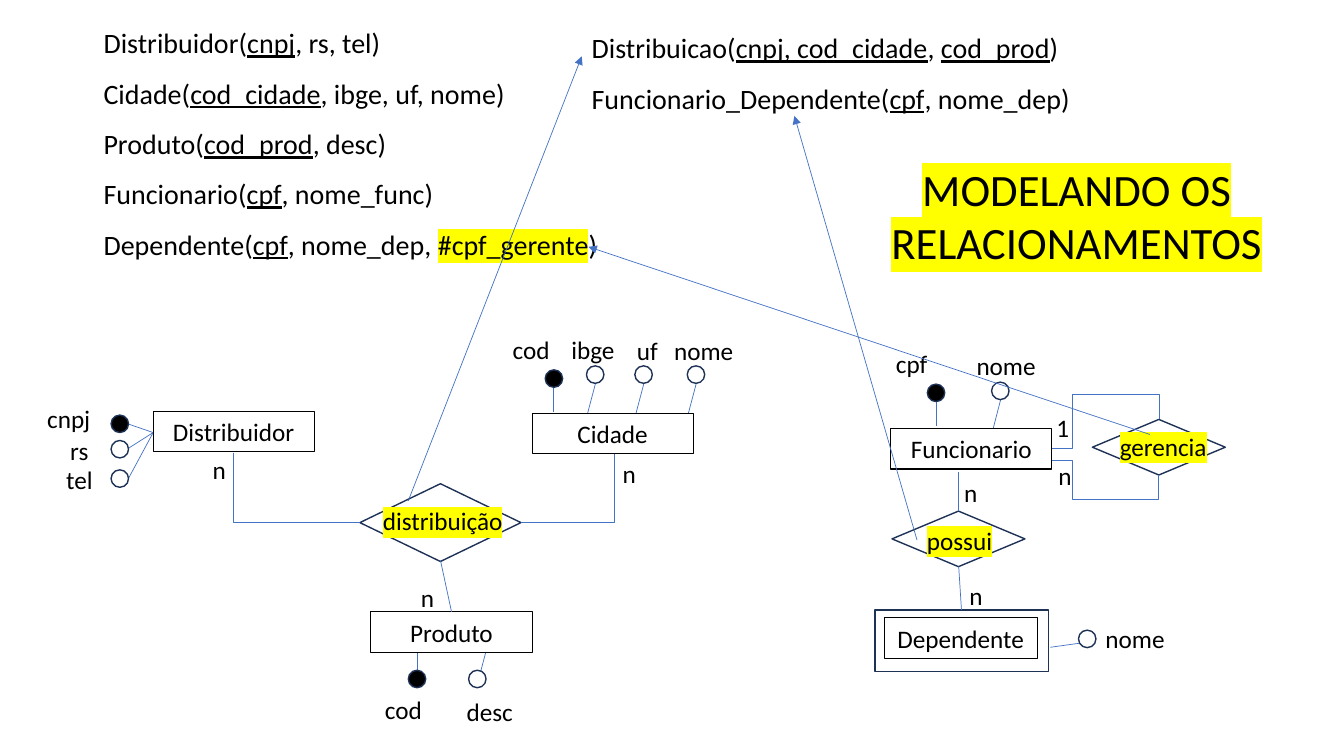
from dataclasses import dataclass
from typing import NamedTuple

from lxml import etree
from pptx import Presentation
from pptx.dml.color import RGBColor
from pptx.enum.shapes import MSO_CONNECTOR, MSO_SHAPE
from pptx.enum.text import MSO_ANCHOR, MSO_AUTO_SIZE, PP_ALIGN
from pptx.oxml.ns import qn
from pptx.util import Cm, Pt

RECTANGLE, OVAL, DECISION = MSO_SHAPE.RECTANGLE, MSO_SHAPE.OVAL, MSO_SHAPE.FLOWCHART_DECISION
STRAIGHT, ELBOW = MSO_CONNECTOR.STRAIGHT, MSO_CONNECTOR.ELBOW
LEFT, CENTER = PP_ALIGN.LEFT, PP_ALIGN.CENTER
MIDDLE, TOP = MSO_ANCHOR.MIDDLE, MSO_ANCHOR.TOP
GROW = MSO_AUTO_SIZE.SHAPE_TO_FIT_TEXT

COLORS = {"white": "FFFFFF", "black": "000000", "navy": "1E3256", "blue": "4472C4", "yellow": "FFFF00"}
TEXT_FORMAT = {"name": "Calibri", "italic": False, "bold": False}
LABEL_HEIGHT, CIRCLE_SIZE = 1.02, 0.44
ENTITY_WIDTH, SCHEMA_WIDTH = 4.06, 17.45


class Point(NamedTuple):
    x: float
    y: float


class Box(NamedTuple):
    left: float
    top: float
    width: float
    height: float = LABEL_HEIGHT


class Run(NamedTuple):
    text: str
    key: bool = False
    marked: bool = False


@dataclass
class Entity:
    name: str
    box: Box
    fill: str | None = "white"


@dataclass
class Relationship:
    name: str
    diamond: Box
    label: Box


@dataclass
class Attribute:
    name: str
    label: Box
    circle: Point
    stem: tuple[Point, Point]
    key: bool = False


@dataclass
class Link:
    begin: Point
    end: Point
    arrow: bool = False
    preset: str = ""
    rotation: int = 0
    bends: tuple[float, ...] = ()


DEPENDENT_FRAME = Box(22.05, 15.37, 4.37, 1.55)
ENTITIES = [
    Entity("Dependente", Box(22.28, 15.57, 3.86)),
    Entity("Distribuidor", Box(3.86, 10.36, ENTITY_WIDTH), None),
    Entity("Cidade", Box(13.41, 10.41, ENTITY_WIDTH)),
    Entity("Produto", Box(9.35, 15.42, ENTITY_WIDTH)),
    Entity("Funcionario", Box(22.45, 10.8, ENTITY_WIDTH)),
]
RELATIONSHIPS = [
    Relationship("distribuição", Box(9.07, 12.19, 4.06, 1.96), Box(9.4, 12.62, 4.06)),
    Relationship("possui", Box(22.48, 12.88, 3.35, 1.4), Box(23.11, 13.11, 2.87)),
    Relationship("gerencia", Box(27.53, 10.57, 3.35, 1.4), Box(27.97, 10.74, 2.87)),
]
SUPPLIER_SIDE = Point(3.86, 10.9)
ATTRIBUTES = [
    Attribute("cnpj", Box(0.94, 10.03, 2.16), Point(2.8, 10.46), (Point(3.25, 10.69), SUPPLIER_SIDE), True),
    Attribute("rs", Box(1.52, 10.85, 1.09), Point(2.8, 11.1), (Point(3.23, 11.3), SUPPLIER_SIDE)),
    Attribute("tel", Box(1.42, 11.58, 1.22), Point(2.8, 11.84), (Point(3.23, 12.07), SUPPLIER_SIDE)),
    Attribute("cod", Box(12.67, 8.31, 2.16), Point(13.74, 9.32), (Point(13.94, 9.75), Point(13.94, 10.39)), True),
    Attribute("ibge", Box(14.15, 8.31, 2.16), Point(14.78, 9.22), (Point(15.01, 9.65), Point(14.78, 10.52))),
    Attribute("uf", Box(15.8, 8.33, 1.09), Point(16, 9.22), (Point(16.23, 9.65), Point(16, 10.52))),
    Attribute("nome", Box(16.74, 8.33, 2.16), Point(17.32, 9.22), (Point(17.55, 9.65), Point(17.32, 10.52))),
    Attribute("cod", Box(9.45, 17.37, 2.16), Point(10.29, 16.89), (Point(10.52, 16.46), Point(10.52, 17.09)), True),
    Attribute("desc", Box(11.51, 17.42, 2.16), Point(11.81, 16.89), (Point(12.27, 16.33), Point(12.04, 17.2))),
    Attribute("cpf", Box(22.33, 8.66, 2.16), Point(23.37, 9.68), (Point(23.6, 10.11), Point(23.6, 10.74)), True),
    Attribute("nome", Box(24.36, 8.71, 2.16), Point(24.99, 9.63), (Point(25.22, 10.06), Point(24.99, 10.95))),
    Attribute("nome", Box(27.61, 15.57, 2.16), Point(27.18, 15.88), (Point(27.41, 16.18), Point(26.47, 16.31))),
]
# Rotated elbows give the corners of their box before rotation
LINKS = [
    Link(Point(8.35, 10.69), Point(6.6, 13.87), preset="bentConnector2", rotation=270),
    Link(Point(13.44, 11.13), Point(15.17, 13.46), preset="bentConnector2", rotation=90),
    Link(Point(26.52, 11.31), Point(29.21, 10.57), preset="bentConnector4", bends=(0.19, 1.86)),
    Link(Point(28.04, 10.44), Point(27.66, 13.13), preset="bentConnector4", rotation=90, bends=(-1.61, 0.81)),
    Link(Point(11.1, 14.12), Point(11.38, 15.42)),
    Link(Point(24.16, 12.88), Point(24.16, 11.89)),
    Link(Point(24.16, 14.27), Point(24.23, 15.37)),
]
ARROWS = [
    Link(Point(23.11, 13.61), Point(20.02, 2.92), arrow=True),
    Link(Point(10.29, 12.62), Point(14.66, 1.42), arrow=True),
    Link(Point(28.98, 10.95), Point(14.83, 6.22), arrow=True),
]
CARDINALITIES = [
    ("n", Box(15.44, 11.43, 1.14)), ("n", Box(10.36, 14.55, 1.14)), ("n", Box(5.11, 11.33, 1.14)),
    ("n", Box(24.18, 14.5, 0.74)), ("n", Box(24.05, 11.91, 0.74)),
    ("1", Box(26.37, 10.26, 0.51)), ("n", Box(26.42, 11.48, 0.51)),
]
SCHEMAS = [
    (Box(2.36, 0.1, SCHEMA_WIDTH, 6.53), [
        [Run("Distribuidor("), Run("cnpj", key=True), Run(", rs, tel)")],
        [Run("Cidade("), Run("cod_cidade", key=True), Run(", ibge, uf, nome)")],
        [Run("Produto("), Run("cod_prod", key=True), Run(", desc)")],
        [Run("Funcionario("), Run("cpf", key=True), Run(", nome_func)")],
        [Run("Dependente("), Run("cpf", key=True), Run(", nome_dep, "), Run("#cpf_gerente", marked=True), Run(")")],
    ]),
    (Box(14.66, 0.23, SCHEMA_WIDTH, 2.69), [
        [Run("Distribuicao("), Run("cnpj, cod_cidade", key=True), Run(", "), Run("cod_prod", key=True), Run(")")],
        [Run("Funcionario_Dependente("), Run("cpf", key=True), Run(", nome_dep)")],
    ]),
]
TITLE = ("MODELANDO OS RELACIONAMENTOS", Box(20.9, 3.94, 12.47, 3))


def color(name: str) -> RGBColor:
    return RGBColor.from_string(COLORS[name])


def write(frame, lines: list[list[Run]], size: int = 18, align=LEFT, anchor=TOP, spacing: float = 1.0) -> None:
    for attribute, value in {"word_wrap": True, "auto_size": GROW, "vertical_anchor": anchor}.items():
        setattr(frame, attribute, value)
    for index, runs in enumerate(lines):
        paragraph = frame.add_paragraph() if index else frame.paragraphs[0]
        paragraph.alignment, paragraph.line_spacing = align, spacing
        for part in runs:
            run = paragraph.add_run()
            run.text = part.text
            for attribute, value in (TEXT_FORMAT | {"size": Pt(size), "underline": part.key}).items():
                setattr(run.font, attribute, value)
            run.font.color.rgb = color("black")
            if part.marked:
                highlight = etree.Element(qn("a:highlight"))
                etree.SubElement(highlight, qn("a:srgbClr"), val=COLORS["yellow"])
                run.font._element.find(qn("a:solidFill")).addnext(highlight)


def add_text(slide, box: Box, lines: list[list[Run]], **layout) -> None:
    write(slide.shapes.add_textbox(*map(Cm, box)).text_frame, lines, **layout)


def add_outline(slide, kind, box: Box, fill: str | None = "white", line: str = "navy", weight: float = 1):
    shape = slide.shapes.add_shape(kind, *map(Cm, box))
    shape.shadow.inherit = False
    if fill:
        shape.fill.solid()
        shape.fill.fore_color.rgb = color(fill)
    else:
        shape.fill.background()
    shape.line.color.rgb, shape.line.width = color(line), Pt(weight)
    return shape


def add_link(slide, link: Link) -> None:
    connector = slide.shapes.add_connector(ELBOW if link.preset else STRAIGHT, *map(Cm, link.begin + link.end))
    connector.line.color.rgb, connector.line.width = color("blue"), Pt(0.5)
    properties = connector._element.spPr
    etree.SubElement(properties, qn("a:effectLst"))
    if link.arrow:
        etree.SubElement(properties.find(qn("a:ln")), qn("a:tailEnd"), type="triangle")
    if link.preset:
        properties.find(qn("a:xfrm")).set("rot", str(link.rotation * 60000))
        geometry = properties.find(qn("a:prstGeom"))
        geometry.set("prst", link.preset)
        for number, bend in enumerate(link.bends, 1):
            etree.SubElement(geometry.find(qn("a:avLst")), qn("a:gd"),
                             name=f"adj{number}", fmla=f"val {round(bend * 100000)}")


def main() -> None:
    presentation = Presentation()
    presentation.slide_width, presentation.slide_height = Cm(33.87), Cm(19.05)
    slide = presentation.slides.add_slide(presentation.slide_layouts[6])

    # Attributes: stem, circle and label
    for attribute in ATTRIBUTES:
        add_link(slide, Link(*attribute.stem))
        add_outline(slide, OVAL, Box(*attribute.circle, CIRCLE_SIZE, CIRCLE_SIZE),
                    "black" if attribute.key else "white")
        add_text(slide, attribute.label, [[Run(attribute.name)]])

    # Entities, the weak one in a double frame
    add_outline(slide, RECTANGLE, DEPENDENT_FRAME)
    for entity in ENTITIES:
        rectangle = add_outline(slide, RECTANGLE, entity.box, entity.fill, "black", 0.75)
        write(rectangle.text_frame, [[Run(entity.name)]], align=CENTER, anchor=MIDDLE)

    # Relationships and their links
    for relationship in RELATIONSHIPS:
        add_outline(slide, DECISION, relationship.diamond)
    for link in LINKS:
        add_link(slide, link)
    for relationship in RELATIONSHIPS:
        add_text(slide, relationship.label, [[Run(relationship.name, marked=True)]])
    for cardinality, box in CARDINALITIES:
        add_text(slide, box, [[Run(cardinality)]])

    # Relational schemas, title and arrows
    for box, lines in SCHEMAS:
        add_text(slide, box, lines, size=20, spacing=1.5)
    title, title_box = TITLE
    add_text(slide, title_box, [[Run(title, marked=True)]], size=32, align=CENTER)
    for arrow in ARROWS:
        add_link(slide, arrow)

    presentation.save("out.pptx")


if __name__ == "__main__":
    main()
